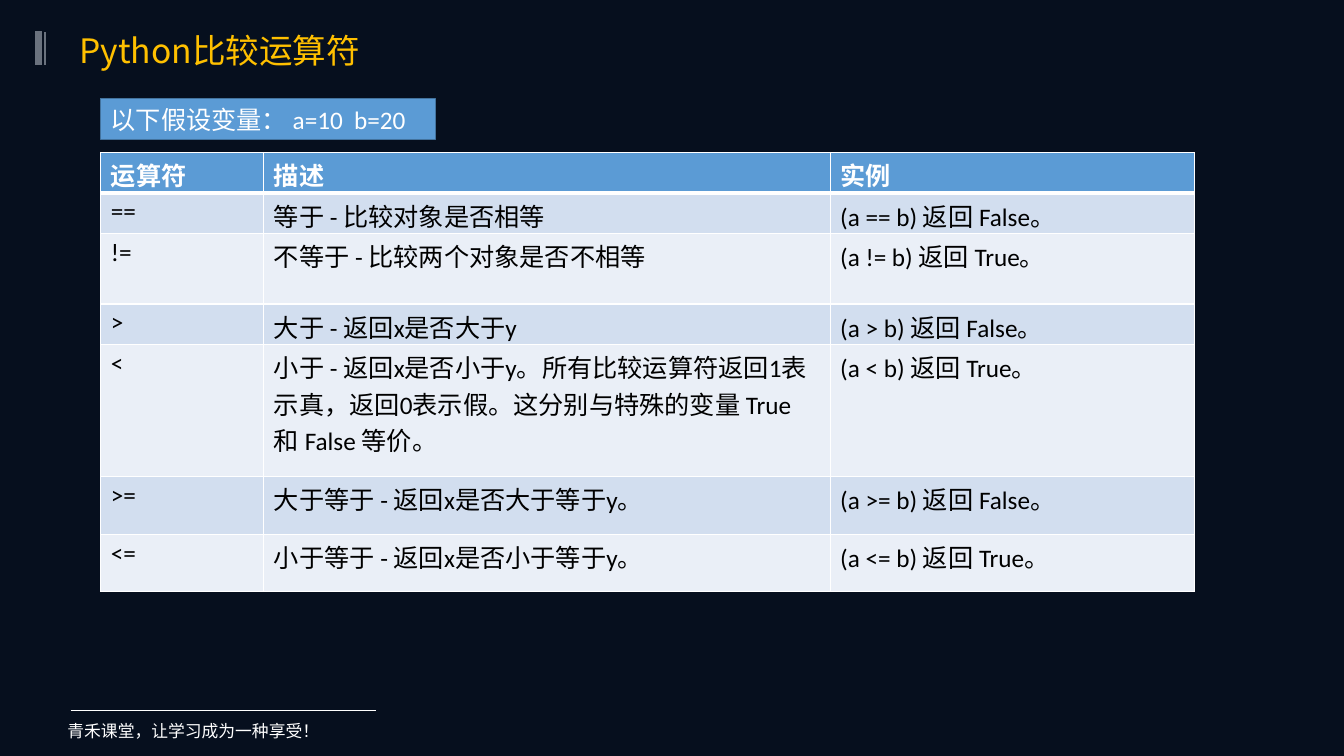
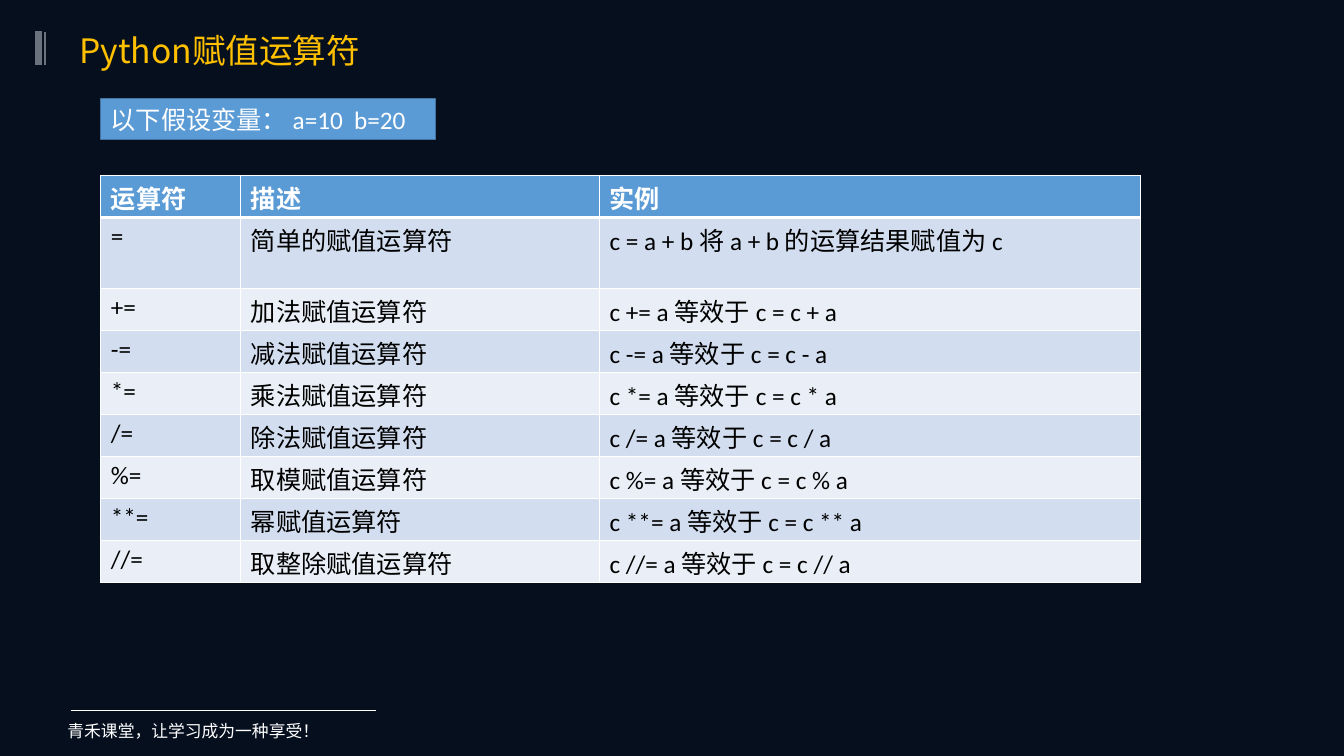
from lxml.etree import SubElement
from pptx import Presentation
from pptx.dml.color import RGBColor
from pptx.enum.shapes import MSO_CONNECTOR, MSO_SHAPE
from pptx.enum.text import MSO_ANCHOR, PP_ALIGN
from pptx.oxml.ns import qn
from pptx.util import Cm, Pt

COLORS = {
    "back": "060F1E",
    "title": "FFC000",
    "white": "FFFFFF",
    "black": "000000",
    "bar": "6A727E",
    "blue": "5B9BD5",
    "blue_edge": "43739E",
    "band_dark": "D2DEEF",
    "band_light": "EAEFF7",
}
BODY_FONT = "Calibri"
CJK_FONT = "Noto Sans CJK SC"
FOOTER = "青禾课堂，让学习成为一种享受！"
ASSUMPTION = "以下假设变量： a=10  b=20"
HEADER = ("运算符", "描述", "实例")

COMPARISONS = [
    ("==", "等于 - 比较对象是否相等", "(a == b) 返回 False。"),
    ("!=", "不等于 - 比较两个对象是否不相等", "(a != b) 返回 True。"),
    (">", "大于 - 返回x是否大于y", "(a > b) 返回 False。"),
    ("<", "小于 - 返回x是否小于y。所有比较运算符返回1表示真，返回0表示假。"
          "这分别与特殊的变量 True 和 False 等价。", "(a < b) 返回 True。"),
    (">=", "大于等于 - 返回x是否大于等于y。", "(a >= b) 返回 False。"),
    ("<=", "小于等于 - 返回x是否小于等于y。", "(a <= b) 返回 True。"),
]
OPERATIONS = [
    ("+", "加法"), ("-", "减法"), ("*", "乘法"), ("/", "除法"),
    ("%", "取模"), ("**", "幂"), ("//", "取整除"),
]
ASSIGNMENTS = [("=", "简单的赋值运算符", "c = a + b 将 a + b 的运算结果赋值为 c")] + [
    (f"{op}=", f"{name}赋值运算符", f"c {op}= a 等效于 c = c {op} a")
    for op, name in OPERATIONS
]


def rgb(name):
    return RGBColor.from_string(COLORS[name])


class Deck:
    def __init__(self):
        self.prs = Presentation()
        self.prs.slide_width, self.prs.slide_height = Cm(33.87), Cm(19.05)
        self.slide = None

    def new_slide(self, title):
        self.slide = self.prs.slides.add_slide(self.prs.slide_layouts[6])
        fill = self.slide.background.fill
        fill.solid()
        fill.fore_color.rgb = rgb("back")
        self.line(1.78, 17.91, 9.47, 17.91, "white", 0.5)
        self.line(0.97, 0.79, 0.97, 1.65, "bar", 4.5)
        self.line(1.14, 0.81, 1.14, 1.63, "bar", 1.5)
        self.box(FOOTER, 1.45, 18.03, 10.13, 0.76, 12, "white", CJK_FONT)
        self.box(title, 1.75, 0.53, 18.92, 1.47, 24, "title", CJK_FONT)
        self.box(ASSUMPTION, 2.54, 2.49, 8.43, 1.02, 18, "white", BODY_FONT,
                 fill="blue", edge="blue_edge")

    def set_text(self, tf, text, size, color, font, bold=False):
        tf.text = text
        tf.word_wrap = True
        p = tf.paragraphs[0]
        p.alignment = PP_ALIGN.LEFT
        for r in p.runs:
            r.font.size = Pt(size)
            r.font.bold = bold
            r.font.color.rgb = rgb(color)
            r.font.name = font
            SubElement(r.font._element, qn("a:ea"), typeface=CJK_FONT)

    def box(self, text, x, y, w, h, size, color, font, fill=None, edge=None):
        sp = self.slide.shapes.add_shape(
            MSO_SHAPE.RECTANGLE, Cm(x), Cm(y), Cm(w), Cm(h))
        sp.shadow.inherit = False
        if fill:
            sp.fill.solid()
            sp.fill.fore_color.rgb = rgb(fill)
            sp.line.color.rgb = rgb(edge)
            sp.line.width = Pt(1)
        else:
            sp.fill.background()
            sp.line.fill.background()
        sp.text_frame.vertical_anchor = MSO_ANCHOR.MIDDLE
        self.set_text(sp.text_frame, text, size, color, font)

    def line(self, x1, y1, x2, y2, color, width):
        cxn = self.slide.shapes.add_connector(
            MSO_CONNECTOR.STRAIGHT, Cm(x1), Cm(y1), Cm(x2), Cm(y2))
        cxn.line.color.rgb = rgb(color)
        cxn.line.width = Pt(width)
        SubElement(cxn._element.spPr, qn("a:effectLst"))

    def borders(self, cell, top, bottom):
        tc_pr = cell._tc.get_or_add_tcPr()
        for side, width in (("L", 1), ("R", 1), ("T", top), ("B", bottom)):
            ln = SubElement(tc_pr, qn(f"a:ln{side}"), w=str(Pt(width)))
            solid = SubElement(ln, qn("a:solidFill"))
            SubElement(solid, qn("a:srgbClr"), val=COLORS["white"])

    def table(self, y, widths, heights, records):
        rows = [HEADER] + records
        frame = self.slide.shapes.add_table(
            len(rows), len(widths), Cm(2.54), Cm(y),
            Cm(sum(widths)), Cm(sum(heights)))
        table = frame.table
        for column, width in zip(table.columns, widths):
            column.width = Cm(width)
        for i, (values, height) in enumerate(zip(rows, heights)):
            table.rows[i].height = Cm(height)
            head = i == 0
            band = "blue" if head else "band_dark" if i % 2 else "band_light"
            for j, text in enumerate(values):
                cell = table.cell(i, j)
                cell.margin_top, cell.margin_bottom = Cm(0.1), Cm(0)
                self.borders(cell, 3 if i == 1 else 1, 3 if head else 1)
                cell.fill.solid()
                cell.fill.fore_color.rgb = rgb(band)
                self.set_text(cell.text_frame, text, 18,
                              "white" if head else "black", BODY_FONT, head)


def main():
    deck = Deck()
    deck.new_slide("Python比较运算符")
    deck.table(3.84, [4.11, 14.27, 9.19],
               [1.02, 1.02, 1.78, 1.02, 3.33, 1.45, 1.45], COMPARISONS)
    deck.new_slide("Python赋值运算符")
    deck.table(4.42, [3.53, 9.04, 13.64],
               [1.06, 1.78] + [1.06] * len(OPERATIONS), ASSIGNMENTS)
    deck.prs.save("out.pptx")


if __name__ == "__main__":
    main()
